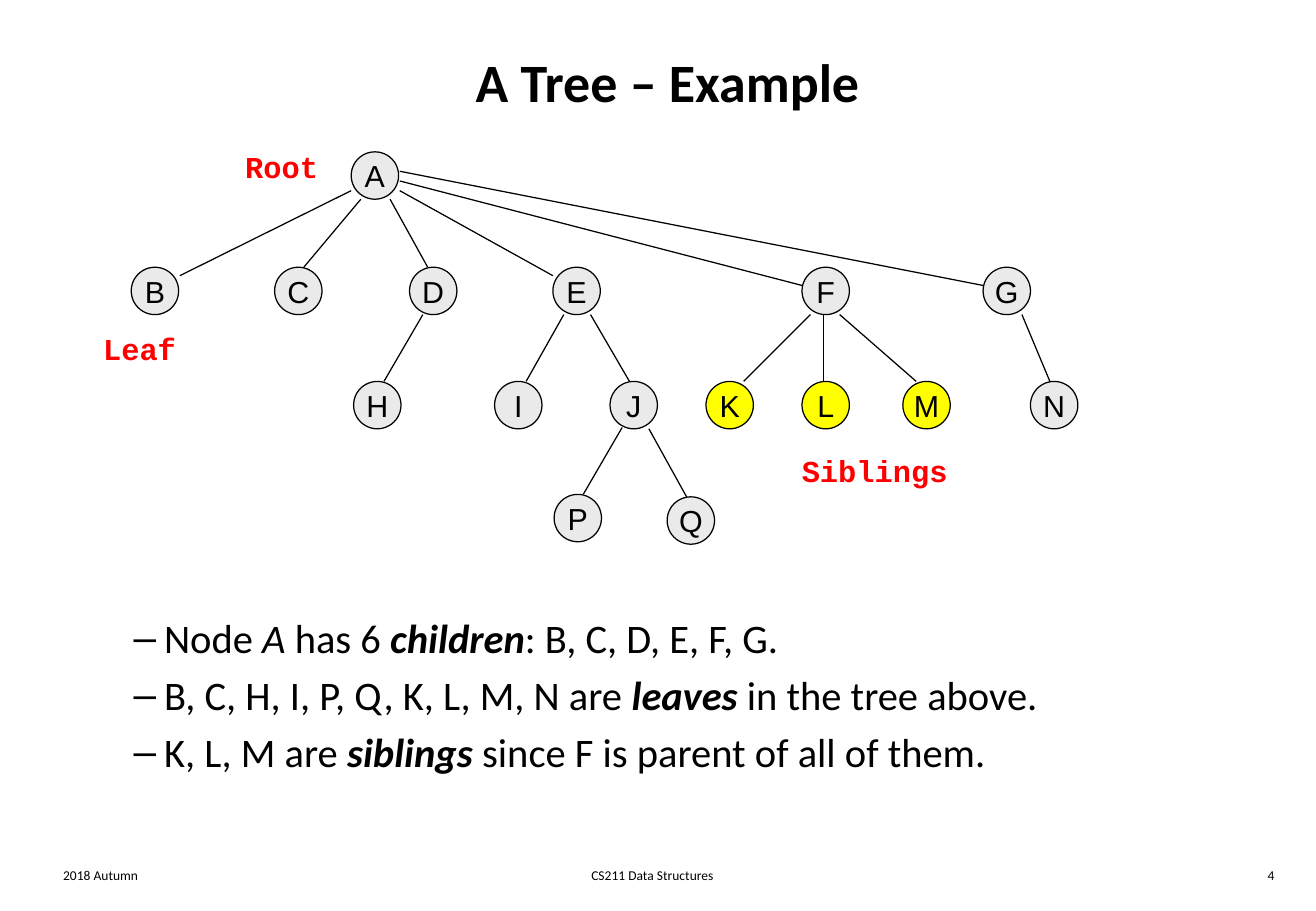
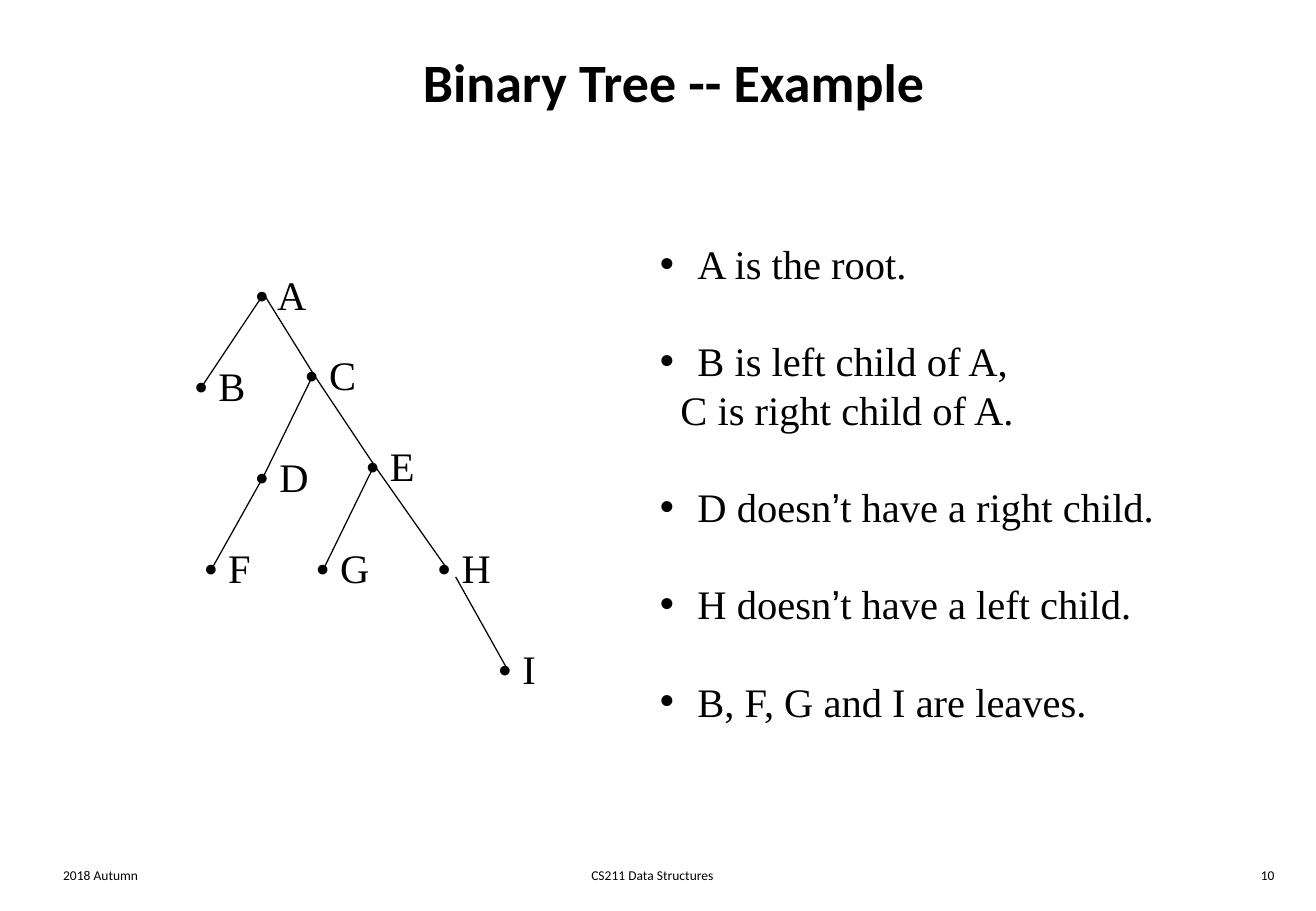
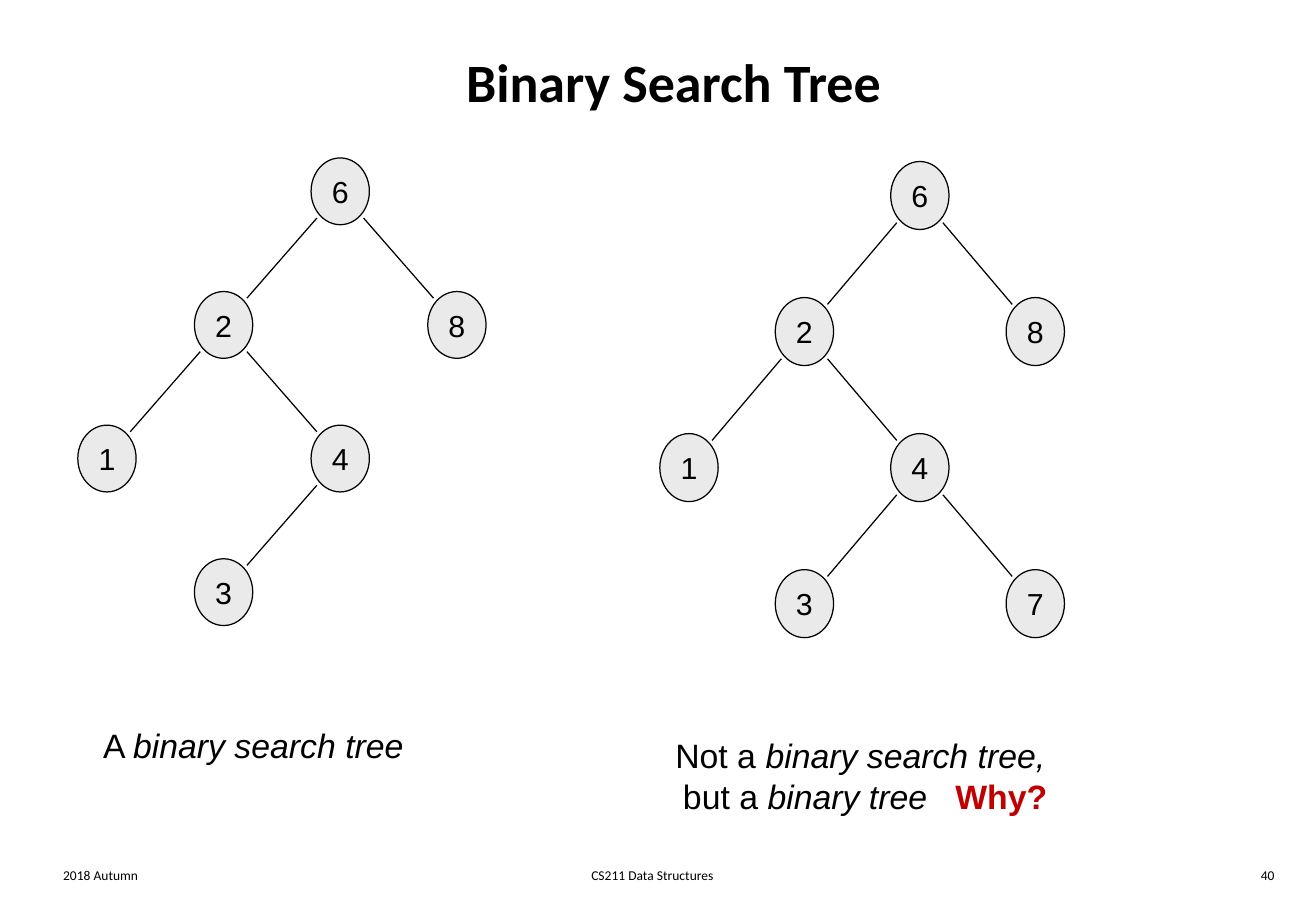
from pptx import Presentation
from pptx import util as u
from pptx.dml.color import RGBColor
from pptx.enum import shapes, text
from pptx.oxml.ns import qn
from lxml import etree

COLORS = {"ink": "000000", "node": "EAEAEA", "sibling": "FFFF00",
          "label": "FF0000", "question": "C00000"}
LEFT, CENTER, RIGHT = text.PP_ALIGN.LEFT, text.PP_ALIGN.CENTER, text.PP_ALIGN.RIGHT
TITLE_BOX = (0.42, 0.17, 10.25, 1)
TITLE_STYLE = {"name": "Calibri", "size": 32, "bold": True}
FOOTER_STYLE = {"name": "Calibri", "size": 8}
NODE_STYLE = {"name": "Arial", "size": 18}
LABEL_STYLE = {"name": "Courier New", "size": 18, "bold": True, "color": "label"}
CALIBRI_BODY = {"name": "Calibri", "size": 24}
TIMES_BODY = {"name": "Times New Roman", "size": 24}
CAPTION_STYLE = {"name": "Arial", "size": 20}
ITALIC = {"italic": True}
KEY_TERM = {"bold": True, "italic": True}
APOSTROPHE = ("’", {"name": "Arial"})
FOOTERS = {10: ((0.42, 7.08, 2.26, 0.25), LEFT, "2018 Autumn"),
           11: ((3.34, 7.08, 4.06, 0.25), CENTER, "CS211 Data Structures"),
           12: ((8.33, 7.08, 2.26, 0.25), RIGHT, None)}

GENERAL_SIZE = 0.39
GENERAL_NODES = {
    "A": (2.89, 1.25), "B": (1.08, 2.2), "C": (2.26, 2.2), "D": (3.37, 2.2),
    "E": (4.55, 2.2), "F": (6.6, 2.2), "G": (8.09, 2.2), "H": (2.91, 3.14),
    "I": (4.07, 3.14), "J": (5.02, 3.14), "K": (5.81, 3.14), "L": (6.6, 3.14),
    "M": (7.43, 3.14), "N": (8.48, 3.14), "P": (4.56, 4.07), "Q": (5.49, 4.09)}
SIBLINGS = "KLM"
GENERAL_EDGES = [
    ((2.89, 1.57), (1.48, 2.27)), ((2.97, 1.64), (2.5, 2.2)),
    ((3.21, 1.64), (3.52, 2.2)), ((3.29, 1.57), (4.55, 2.27)),
    ((3.29, 1.49), (6.6, 2.35)), ((3.29, 1.41), (8.09, 2.35)),
    ((3.48, 2.59), (3.16, 3.14)), ((4.64, 2.59), (4.33, 3.14)),
    ((4.86, 2.59), (5.18, 3.14)), ((6.67, 2.59), (6.12, 3.14)),
    ((6.78, 2.59), (6.78, 3.14)), ((6.91, 2.59), (7.54, 3.14)),
    ((8.41, 2.59), (8.64, 3.14)), ((5.12, 3.52), (4.8, 4.07)),
    ((5.34, 3.53), (5.65, 4.09))]
GENERAL_LABELS = [("Root", (1.92, 1.17, 0.96, 0.4)), ("Leaf", (0.75, 2.67, 0.9, 0.4)),
                  ("Siblings", (6.5, 3.67, 1.5, 0.4))]
GENERAL_FACTS = [
    ["Node ", ("A", ITALIC), " has 6 ", ("children", KEY_TERM), ": B, C, D, E, F, G."],
    ["B, C, H, I, P, Q, K, L, M, N are ", ("leaves", KEY_TERM), " in the tree above."],
    ["K, L, M are ", ("siblings", KEY_TERM), " since F is parent of all of them."]]

BINARY_DOTS = {
    "A": (2.17, 2.42), "B": (1.67, 3.17), "C": (2.58, 3.08), "D": (2.17, 3.92),
    "E": (3.08, 3.83), "F": (1.75, 4.67), "G": (2.67, 4.67), "H": (3.67, 4.67),
    "I": (4.17, 5.5)}
BINARY_EDGES = ["AB", "AC", "CD", "CE", "DF", "EG", "EH", "HI"]
EDGE_START_SHIFT = {"HI": 0.08}
BINARY_FACTS = [
    (["A is the root."], "first"),
    (["B is left child of A,"], "bullet"),
    (["C is right child of A."], "continued"),
    (["D doesn", APOSTROPHE, "t have a right child."], "bullet"),
    (["H doesn", APOSTROPHE, "t have a left child."], "bullet"),
    (["B, F, G and I are leaves."], "bullet")]
FACT_FORMATS = {
    "first": {"margin": 0.31, "indent": -0.31, "before": 0},
    "bullet": {"margin": 0.31, "indent": -0.31, "before": 28.8},
    "continued": {"margin": 0.17, "indent": 0, "before": 0, "bullet": False}}

SEARCH_CELLS = {"6": (2, 0), "2": (1, 1), "8": (3, 1), "1": (0, 2),
                "4": (2, 2), "3": (1, 3), "7": (3, 3)}
SEARCH_EDGES = ["62", "68", "21", "24", "43", "47"]
EDGE_TRIM = 0.2
SEARCH_TREES = [
    {"keys": "628143", "origin": (0.64, 1.3), "step": (0.96, 1.1), "size": (0.48, 0.55)},
    {"keys": "6281437", "origin": (5.43, 1.33), "step": (0.95, 1.12), "size": (0.48, 0.56)}]
CAPTIONS = [
    ((0.75, 5.92, 2.8, 0.43), LEFT, [["A ", ("binary search tree", ITALIC)]]),
    ((4.83, 6, 4.58, 0.78), CENTER, [
        ["Not a ", ("binary search tree, ", ITALIC)],
        ["but a ", ("binary tree", ITALIC), (" ", {"spacing": 11}),
         ("Why?", {"bold": True, "color": "question"})]])]


def rgb(name):
    return RGBColor.from_string(COLORS[name])


def place(shape, box):
    for side, length in zip(("left", "top", "width", "height"), box):
        setattr(shape, side, u.Inches(length))


def add_runs(paragraph, runs, style):
    for run in runs:
        words, changes = (run, {}) if isinstance(run, str) else run
        values = {"color": "ink", **style, **changes}
        part = paragraph.add_run()
        part.text = words
        part.font.color.rgb = rgb(values.pop("color"))
        part.font.size = u.Pt(values.pop("size"))
        spacing = values.pop("spacing", None)
        if spacing:
            part._r.get_or_add_rPr().set("spc", str(spacing * 100))
        for name, value in values.items():
            setattr(part.font, name, value)


def write(frame, lines, style, align=LEFT):
    frame.word_wrap = True
    frame.auto_size = text.MSO_AUTO_SIZE.NONE
    for number, runs in enumerate(lines):
        paragraph = frame.add_paragraph() if number else frame.paragraphs[0]
        paragraph.alignment = align
        add_runs(paragraph, runs, style)
    return frame.paragraphs


def set_indent(paragraph, margin, indent, before, bullet=True):
    paragraph.space_before = u.Pt(before)
    props = paragraph._p.get_or_add_pPr()
    props.set("marL", str(u.Inches(margin)))
    props.set("indent", str(u.Inches(indent)))
    if not bullet:
        etree.SubElement(props, qn("a:buNone"))


def add_label(slide, box, lines, style, align=LEFT):
    label = slide.shapes.add_textbox(*map(u.Inches, box))
    write(label.text_frame, lines, style, align)


def add_edge(slide, start, end):
    edge = slide.shapes.add_connector(
        shapes.MSO_CONNECTOR.STRAIGHT, *map(u.Inches, (*start, *end)))
    edge.line.color.rgb = rgb("ink")
    edge.line.width = u.Pt(0.75)
    etree.SubElement(edge._element.spPr, qn("a:effectLst"))


def add_node(slide, key, corner, size, fill="node"):
    node = slide.shapes.add_shape(
        shapes.MSO_SHAPE.OVAL, *map(u.Inches, (*corner, *size)))
    node.shadow.inherit = False
    node.fill.solid()
    node.fill.fore_color.rgb = rgb(fill)
    node.line.color.rgb = rgb("ink")
    node.line.width = u.Pt(0.75)
    frame = node.text_frame
    for side in ("left", "right", "top", "bottom"):
        setattr(frame, f"margin_{side}", 0)
    frame.vertical_anchor = text.MSO_ANCHOR.MIDDLE
    write(frame, [[key]], NODE_STYLE, CENTER)


def new_slide(prs, layout_number, title, number):
    layout = prs.slide_layouts[layout_number]
    slide = prs.slides.add_slide(layout)
    write(slide.shapes.title.text_frame, [[title]], TITLE_STYLE, CENTER)
    for source in layout.placeholders:
        idx = source.placeholder_format.idx
        if idx in FOOTERS:
            box, align, words = FOOTERS[idx]
            slide.shapes.clone_placeholder(source)
            footer = slide.placeholders[idx]
            place(footer, box)
            write(footer.text_frame, [[words or number]], FOOTER_STYLE, align)
    return slide


def general_tree(prs):
    slide = new_slide(prs, 1, "A Tree – Example ", "4")
    for start, end in GENERAL_EDGES:
        add_edge(slide, start, end)
    for key, corner in GENERAL_NODES.items():
        fill = "sibling" if key in SIBLINGS else "node"
        add_node(slide, key, corner, (GENERAL_SIZE, GENERAL_SIZE), fill)
    for words, box in GENERAL_LABELS:
        add_label(slide, box, [[words]], LABEL_STYLE)
    facts = slide.placeholders[1]
    place(facts, (0.75, 5, 8.08, 1.88))
    for paragraph in write(facts.text_frame, GENERAL_FACTS, CALIBRI_BODY):
        paragraph.level = 1
        set_indent(paragraph, 0.5, -0.25, 4.8)


def binary_tree(prs):
    slide = new_slide(prs, 1, "Binary Tree -- Example", "10")
    for pair in BINARY_EDGES:
        shift = EDGE_START_SHIFT.get(pair, 0)
        start, end = (BINARY_DOTS[key] for key in pair)
        add_edge(slide, [value + shift for value in start], end)
    for key, (x, y) in BINARY_DOTS.items():
        add_label(slide, (x - 0.17, y - 0.25, 0.7, 0.5), [[f"• {key}"]], TIMES_BODY)
    facts = slide.placeholders[1]
    place(facts, (5.33, 1.92, 4.5, 4.54))
    lines = [runs for runs, kind in BINARY_FACTS]
    paragraphs = write(facts.text_frame, lines, TIMES_BODY)
    for paragraph, (runs, kind) in zip(paragraphs, BINARY_FACTS):
        paragraph.line_spacing = u.Pt(28.8)
        set_indent(paragraph, **FACT_FORMATS[kind])


def search_trees(prs):
    slide = new_slide(prs, 5, "Binary Search Tree", "40")
    for tree in SEARCH_TREES:
        size = tree["size"]
        corners = {key: [o + cell * step for o, cell, step in
                         zip(tree["origin"], SEARCH_CELLS[key], tree["step"])]
                   for key in tree["keys"]}
        centers = {key: [c + s / 2 for c, s in zip(corner, size)]
                   for key, corner in corners.items()}
        for parent, child in SEARCH_EDGES:
            if child in corners:
                ends = [[a + (b - a) * part for a, b in
                         zip(centers[parent], centers[child])]
                        for part in (EDGE_TRIM, 1 - EDGE_TRIM)]
                add_edge(slide, *ends)
        for key, corner in corners.items():
            add_node(slide, key, corner, size)
    for box, align, lines in CAPTIONS:
        add_label(slide, box, lines, CAPTION_STYLE, align)


def main():
    prs = Presentation()
    prs.slide_width, prs.slide_height = u.Inches(10.83), u.Inches(7.5)
    for holder in prs.slide_master.placeholders:
        if holder.placeholder_format.type == shapes.PP_PLACEHOLDER.TITLE:
            place(holder, TITLE_BOX)
    general_tree(prs)
    binary_tree(prs)
    search_trees(prs)
    prs.save("out.pptx")


if __name__ == "__main__":
    main()
